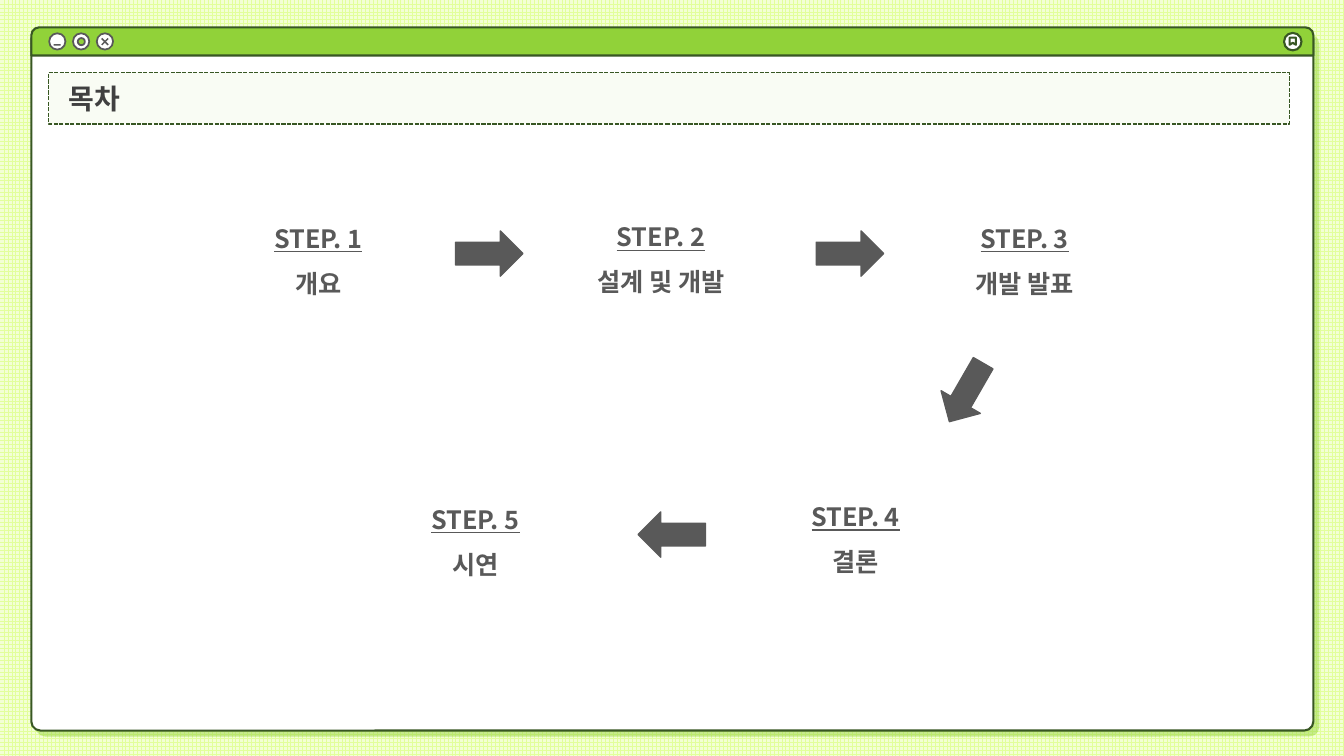
from lxml.etree import SubElement
from pptx import Presentation
from pptx.dml.color import RGBColor
from pptx.enum.dml import MSO_LINE, MSO_PATTERN
from pptx.enum.shapes import MSO_SHAPE
from pptx.enum.text import MSO_ANCHOR, MSO_AUTO_SIZE, PP_ALIGN
from pptx.oxml.ns import qn
from pptx.util import Cm, Pt

WHITE = RGBColor(0xFF, 0xFF, 0xFF)
LIME = RGBColor(0x91, 0xD2, 0x39)
FOREST = RGBColor(0x38, 0x57, 0x23)
GRAY = RGBColor(0x59, 0x59, 0x59)
CHARCOAL = RGBColor(0x40, 0x40, 0x40)
GRID = RGBColor(0xE2, 0xFF, 0x9B)
PAPER = RGBColor(0xF3, 0xFF, 0xD5)
FONT = "Noto Sans CJK KR"


def write_paragraph(paragraph, text, size=18, color=GRAY, underline=False,
                    align=PP_ALIGN.CENTER, spacing=1.5):
    properties = paragraph._p.get_or_add_pPr()
    properties.set("marL", str(Cm(0.25)))
    properties.set("indent", "0")
    paragraph.alignment = align
    paragraph.line_spacing = spacing
    run = paragraph.add_run()
    run.text = text
    font = run.font
    font.name, font.size, font.bold = FONT, Pt(size), True
    font.underline = underline
    font.color.rgb = color
    SubElement(run._r.get_or_add_rPr(), qn("a:ea"), typeface=FONT)


class WindowSlide:
    """Holds the style and the current slide; lengths are centimetres."""

    def __init__(self, presentation):
        self.slide = presentation.slides.add_slide(presentation.slide_layouts[5])
        self.shapes = self.slide.shapes

    def background(self):
        fill = self.slide.background.fill
        fill.patterned()
        fill.pattern = MSO_PATTERN.LARGE_GRID
        fill.fore_color.rgb = GRID
        fill.back_color.rgb = PAPER

    def paint(self, shape, fill, line=None, width=1.0):
        if fill is None:
            shape.fill.background()
        else:
            shape.fill.solid()
            shape.fill.fore_color.rgb = fill
        if line is None:
            shape.line.fill.background()
        else:
            shape.line.color.rgb = line
            shape.line.width = Pt(width)

    def box(self, kind, left, top, width, height, fill, line=None,
            line_width=1.0, rotation=0, adjustments=()):
        shape = self.shapes.add_shape(kind, Cm(left), Cm(top), Cm(width), Cm(height))
        shape.shadow.inherit = False
        shape.rotation = rotation
        for index, value in enumerate(adjustments):
            shape.adjustments[index] = value
        self.paint(shape, fill, line, line_width)
        return shape

    def circle(self, left, top, size, fill, line, line_width):
        return self.box(MSO_SHAPE.OVAL, left, top, size, size, fill, line, line_width)

    def drop_shadow(self, shape):
        effects = shape._element.spPr.find(qn("a:effectLst"))
        shadow = SubElement(effects, qn("a:outerShdw"), blurRad="0", dist=str(Pt(5)),
                            dir="2700000", algn="tl", rotWithShape="0")
        color = SubElement(shadow, qn("a:srgbClr"), val=str(LIME))
        SubElement(color, qn("a:alpha"), val="45000")

    def bookmark(self, points):
        corners = [(Cm(x), Cm(y)) for x, y in points]
        builder = self.shapes.build_freeform(*corners[0])
        builder.add_line_segments(corners[1:], close=True)
        shape = builder.convert_to_shape()
        shape.shadow.inherit = False
        self.paint(shape, None, FOREST, 1.5)

    def title(self, text, left, top, width, height):
        title = self.shapes.title
        title.left, title.top = Cm(left), Cm(top)
        title.width, title.height = Cm(width), Cm(height)
        properties = title._element.spPr
        geometry = SubElement(properties, qn("a:prstGeom"), prst="roundRect")
        SubElement(geometry, qn("a:avLst"))
        self.paint(title, LIME, FOREST)
        title.line.dash_style = MSO_LINE.SQUARE_DOT
        color = properties.find(qn("a:solidFill"))[0]
        SubElement(color, qn("a:alpha"), val="5000")
        frame = title.text_frame
        frame.auto_size = MSO_AUTO_SIZE.NONE
        frame.vertical_anchor = MSO_ANCHOR.MIDDLE
        write_paragraph(frame.paragraphs[0], text, size=20, color=CHARCOAL,
                        align=PP_ALIGN.LEFT, spacing=1.0)
        # Bring the title in front of the window
        self.shapes._spTree.append(title._element)

    def step(self, label, topic, left, top):
        frame = self.shapes.add_textbox(Cm(left), Cm(top), Cm(7.06), Cm(2.57)).text_frame
        frame.word_wrap = True
        frame.auto_size = MSO_AUTO_SIZE.SHAPE_TO_FIT_TEXT
        write_paragraph(frame.paragraphs[0], label, underline=True)
        write_paragraph(frame.add_paragraph(), topic)

    def arrow(self, left, top, rotation):
        self.box(MSO_SHAPE.RIGHT_ARROW, left, top, 1.7, 1.14, GRAY, GRAY, 1, rotation)


def main():
    presentation = Presentation()
    presentation.slide_width, presentation.slide_height = Cm(33.87), Cm(19.05)
    page = WindowSlide(presentation)
    page.background()

    # Window and its bar
    window = page.box(MSO_SHAPE.ROUNDED_RECTANGLE, 0.79, 0.76, 32.31, 17.65,
                      WHITE, FOREST, 1.5, adjustments=(0.013,))
    page.drop_shadow(window)
    page.box(MSO_SHAPE.ROUND_2_SAME_RECTANGLE, 0.79, 0.69, 32.31, 0.71,
             LIME, FOREST, 1.5, adjustments=(0.283, 0))

    # Bookmark badge
    page.circle(32.36, 0.83, 0.44, WHITE, FOREST, 1.5)
    page.bookmark([(32.5, 0.95), (32.66, 0.95), (32.66, 1.13),
                   (32.58, 1.08), (32.5, 1.13)])

    # Window buttons
    for index in range(3):
        page.circle(1.24 + 0.6 * index, 0.84, 0.41, WHITE, GRAY, 1.25)
    page.circle(1.96, 0.96, 0.18, LIME, GRAY, 1.25)
    page.box(MSO_SHAPE.RECTANGLE, 1.35, 1.11, 0.18, 0.04, GRAY)
    for angle in (45, 315):
        page.box(MSO_SHAPE.RECTANGLE, 2.53, 1.03, 0.23, 0.04, GRAY, rotation=angle)

    page.title("목차", 1.22, 1.83, 31.27, 1.3)

    # Steps
    steps = [("개요", 4.37, 5.11), ("설계 및 개발", 13.0, 5.07), ("개발 발표", 22.17, 5.11),
             ("결론", 17.91, 12.12), ("시연", 8.33, 12.19)]
    for number, (topic, left, top) in enumerate(steps, start=1):
        page.step(f"STEP. {number}", topic, left, top)

    # Arrows between the steps
    for left, top, rotation in [(11.48, 5.82, 0), (20.57, 5.82, 0),
                                (23.5, 9.32, 120), (16.08, 12.9, 180)]:
        page.arrow(left, top, rotation)

    presentation.save("out.pptx")


if __name__ == "__main__":
    main()
